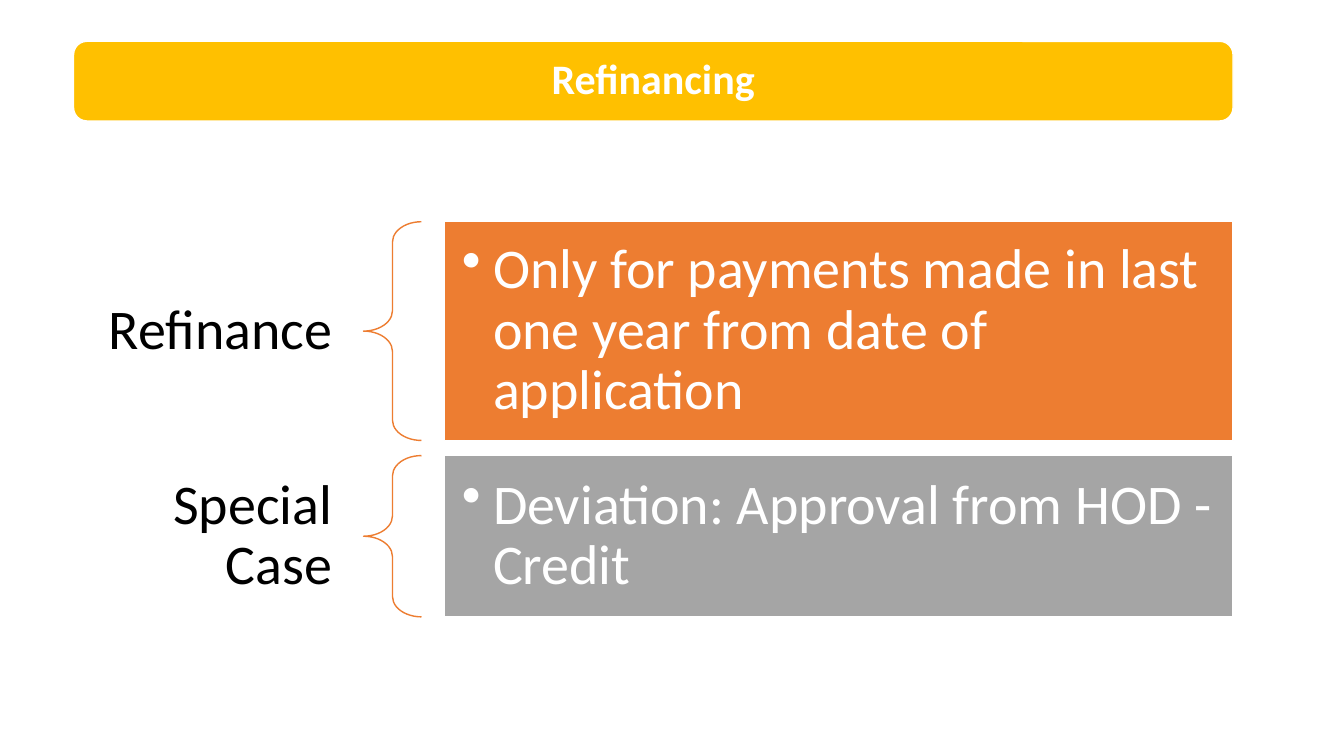
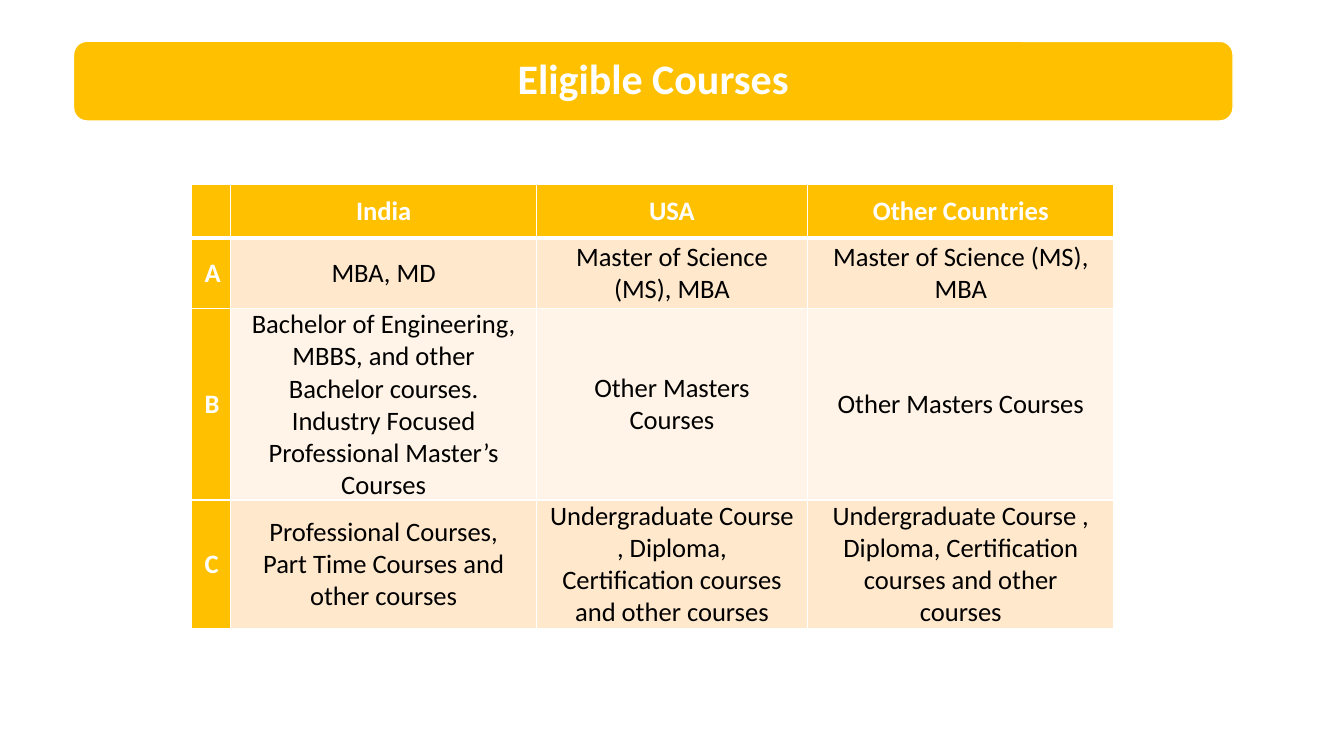
import pptx
import pptx.util
import pptx.dml.color
import pptx.enum.shapes
import pptx.enum.text
import pptx.oxml
import pptx.oxml.ns

Inches, Pt = pptx.util.Inches, pptx.util.Pt
SHAPE = pptx.enum.shapes.MSO_SHAPE
ALIGN = pptx.enum.text.PP_ALIGN
MIDDLE = pptx.enum.text.MSO_ANCHOR.MIDDLE

# Shared look
FONT = "Calibri"
GOLD, ORANGE, GREY = "FFC000", "ED7D31", "A5A5A5"
WHITE, BLACK = "FFFFFF", "000000"
STRIPES = ["FFE8CC", "FFF4E7"]

# Shared grid, in inches
LEFT, WIDE = 0.73, 11.5


def color(code):
    return pptx.dml.color.RGBColor.from_string(code)


def style(para, size, ink, align, bold=False):
    para.alignment = align
    font = para.font
    font.name, font.size, font.bold = FONT, Pt(size), bold
    font.color.rgb = color(ink)


def outline(shape, code):
    shape.line.color.rgb = color(code)
    shape.line.width = Pt(1)


def block(slide, kind, box, fill=None, edge=WHITE):
    shape = slide.shapes.add_shape(kind, *map(Inches, box))
    shape.shadow.inherit = False
    if fill:
        shape.fill.solid()
        shape.fill.fore_color.rgb = color(fill)
    else:
        shape.fill.background()
    outline(shape, edge)
    return shape


def write(shape, text, size, ink, align, pads, bold=False, bullet=False):
    frame = shape.text_frame
    frame.word_wrap = True
    frame.vertical_anchor = MIDDLE
    (frame.margin_left, frame.margin_top,
     frame.margin_right, frame.margin_bottom) = map(Inches, pads)
    para = frame.paragraphs[0]
    para.text = text
    para.line_spacing = 0.9
    if bullet:
        props = para._p.get_or_add_pPr()
        props.set("marL", str(Inches(0.31)))
        props.set("indent", str(-Inches(0.31)))
        props.append(pptx.oxml.parse_xml(
            f'<a:buChar {pptx.oxml.ns.nsdecls("a")} char="•"/>'))
    style(para, size, ink, align, bold)


def title(slide, text):
    band = block(slide, SHAPE.ROUNDED_RECTANGLE, (LEFT, 0.41, WIDE, 0.79), GOLD)
    write(band, text, 30, WHITE, ALIGN.CENTER, [0.12] * 4, bold=True)


# A label, a brace and a filled box with one bullet
def group(slide, top, high, label, text, fill):
    name, brace, gap, body = (WIDE * part for part in (0.25, 0.05, 0.02, 0.68))
    note = slide.shapes.add_textbox(
        *map(Inches, (LEFT, top, name, high)))
    write(note, label, 40, BLACK, ALIGN.RIGHT, (0.2, 0.11, 0.31, 0.11))
    curl = block(slide, SHAPE.LEFT_BRACE, (LEFT + name, top, brace, high),
                 edge=ORANGE)
    curl.adjustments[0] = 0.35
    panel = block(slide, SHAPE.RECTANGLE,
                  (LEFT + name + brace + gap, top, body, high), fill)
    write(panel, text, 40, WHITE, ALIGN.LEFT, (0.17, 0.17, 0.1, 0.17),
          bullet=True)


def border(cell, widths):
    props = cell._tc.get_or_add_tcPr()
    for side, width in zip("LRTB", widths):
        props.append(pptx.oxml.parse_xml(
            f'<a:ln{side} {pptx.oxml.ns.nsdecls("a")} w="{Pt(width)}">'
            f'<a:solidFill><a:srgbClr val="{WHITE}"/></a:solidFill>'
            f'</a:ln{side}>'))


def grid(slide, left, top, cols, rows, data):
    table = slide.shapes.add_table(
        len(rows), len(cols),
        *map(Inches, (left, top, sum(cols), sum(rows)))).table
    for col, width in zip(table.columns, cols):
        col.width = Inches(width)
    for row, high in zip(table.rows, rows):
        row.height = Inches(high)
    for r, line in enumerate(data):
        for c, text in enumerate(line):
            head = r == 0 or c == 0
            cell = table.cell(r, c)
            cell.text = text
            cell.vertical_anchor = MIDDLE
            cell.margin_left = cell.margin_right = Inches(0.13)
            cell.margin_top = cell.margin_bottom = 0
            # The rule under the header row is heavier
            border(cell, (1, 1, 3 if r == 1 else 1, 3 if r == 0 else 1))
            cell.fill.solid()
            cell.fill.fore_color.rgb = color(
                GOLD if head else STRIPES[(r - 1) % 2])
            for para in cell.text_frame.paragraphs:
                style(para, 19, WHITE if head else BLACK, ALIGN.CENTER, head)


def main():
    deck = pptx.Presentation()
    deck.slide_width, deck.slide_height = Inches(13.33), Inches(7.5)
    blank = deck.slide_layouts[6]

    # Refinancing
    slide = deck.slides.add_slide(blank)
    title(slide, "Refinancing")
    top = 2.2
    for high, label, text, fill in [
        (2.17, "Refinance",
         "Only for payments made in last one year from date of application",
         ORANGE),
        (1.6, "Special Case", "Deviation: Approval from HOD - Credit", GREY),
    ]:
        group(slide, top, high, label, text, fill)
        top += high + 0.15

    # Eligible courses
    slide = deck.slides.add_slide(blank)
    title(slide, "Eligible Courses")
    masters = "Master of Science (MS), MBA"
    other = "Other Masters Courses"
    under = ("Undergraduate Course , Diploma, Certification courses "
             "and other courses")
    grid(slide, 1.9, 1.83, [0.39, 3.03, 2.69, 3.04], [0.53, 0.7, 1.9, 1.28], [
        ["", "India", "USA", "Other Countries"],
        ["A", "MBA, MD", masters, masters],
        ["B", "Bachelor of Engineering,\nMBBS, and other Bachelor courses.\n"
              "Industry Focused Professional Master’s Courses", other, other],
        ["C", "Professional Courses,\nPart Time Courses and other courses",
         under, under],
    ])

    deck.save("out.pptx")


if __name__ == "__main__":
    main()
